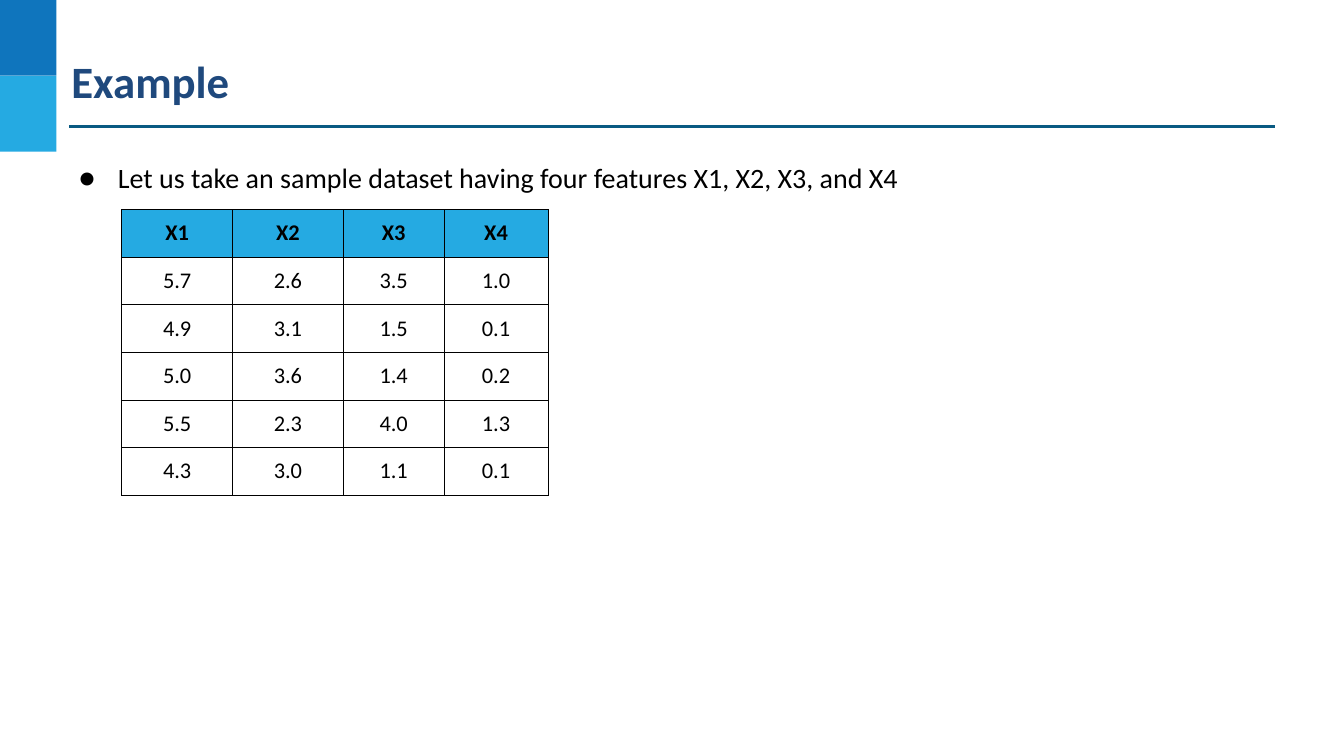
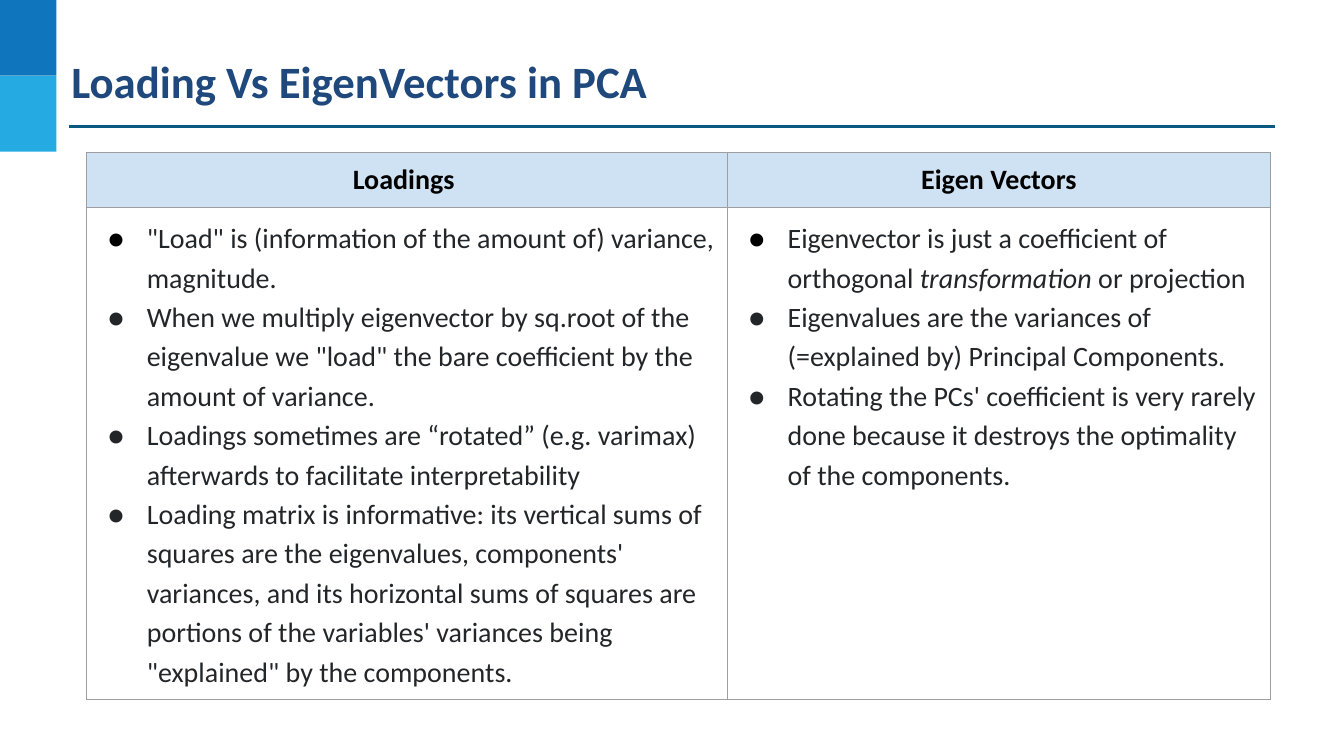
from lxml import etree
from pptx import Presentation
from pptx.dml.color import RGBColor
from pptx.enum import shapes, text
from pptx.oxml.ns import qn
from pptx.util import Cm, Pt

COLORS = {
    "black": "000000",
    "body": "232629",
    "title": "1F497D",
    "rule": "095A82",
    "dark_band": "0F75BD",
    "light_band": "25AAE2",
    "pale_header": "CFE2F3",
    "grey_border": "9E9E9E",
}
FONT = "Calibri"
CENTER = text.PP_ALIGN.CENTER
PADDING = Cm(0.25)


def write(frame, lines, size, color="black", bold=False, align=None, bullet_spacing=None):
    """Write lines of runs, every second run in italics; spacing turns bullets on."""
    for row, line in enumerate(lines):
        para = frame.paragraphs[0] if row == 0 else frame.add_paragraph()
        if align is not None:
            para.alignment = align
        if bullet_spacing:
            para.line_spacing = bullet_spacing
            properties = para._p.get_or_add_pPr()
            properties.set("marL", str(Cm(1.27)))
            properties.set("indent", str(-Cm(0.99)))
            bullet_color = etree.SubElement(properties, qn("a:buClr"))
            bullet_hex = COLORS["black" if row == 0 else color]
            etree.SubElement(bullet_color, qn("a:srgbClr"), val=bullet_hex)
            etree.SubElement(properties, qn("a:buFont"), typeface=FONT)
            etree.SubElement(properties, qn("a:buChar"), char="●")
        for position, words in enumerate(line):
            span = para.add_run()
            span.text = words
            span.font.name = FONT
            span.font.size = Pt(size)
            span.font.bold = bold
            span.font.italic = position % 2 == 1
            span.font.color.rgb = RGBColor.from_string(COLORS[color])


def add_grid(page, left, top, widths, heights, header_color, border_color):
    """Add a bordered table with a filled header row."""
    table = page.shapes.add_table(
        len(heights), len(widths), Cm(left), Cm(top), Cm(sum(widths)), Cm(sum(heights))
    ).table
    table.horz_banding = False
    for column, width in zip(table.columns, widths):
        column.width = Cm(width)
    for row, height in zip(table.rows, heights):
        row.height = Cm(height)
    for index, cell in enumerate(table.iter_cells()):
        cell.margin_left = cell.margin_right = PADDING
        cell.margin_top = cell.margin_bottom = PADDING
        properties = cell._tc.get_or_add_tcPr()
        for side in ("a:lnL", "a:lnR", "a:lnT", "a:lnB"):
            border = etree.SubElement(properties, qn(side), w=str(Pt(0.75)))
            fill = etree.SubElement(border, qn("a:solidFill"))
            etree.SubElement(fill, qn("a:srgbClr"), val=COLORS[border_color])
        if index < len(widths):
            cell.fill.solid()
            cell.fill.fore_color.rgb = RGBColor.from_string(COLORS[header_color])
        else:
            cell.fill.background()
    return table


deck = Presentation()
deck.slide_width, deck.slide_height = Cm(33.87), Cm(19.05)
layout = deck.slide_layouts[5]

# Pages and their titles
pages = []
for heading in ("Example", "Loading Vs EigenVectors in PCA"):
    page = deck.slides.add_slide(layout)
    title = page.shapes.title
    title.left, title.top, title.width, title.height = Cm(1.75), Cm(1.3), Cm(31.22), Cm(2.1)
    frame = title.text_frame
    frame.margin_left = frame.margin_right = frame.margin_top = frame.margin_bottom = Cm(0.05)
    frame.vertical_anchor = text.MSO_ANCHOR.TOP
    frame.auto_size = text.MSO_AUTO_SIZE.NONE
    write(frame, [[heading]], 32, "title", bold=True, align=text.PP_ALIGN.LEFT)
    pages.append(page)
example, comparison = pages

# Side bands and title rule, drawn once and moved to the shared layout
decorations = []
for index, color in enumerate(("dark_band", "light_band")):
    band = example.shapes.add_shape(
        shapes.MSO_SHAPE.RECTANGLE, 0, Cm(1.91 * index), Cm(1.42), Cm(1.91)
    )
    band.shadow.inherit = False
    band.fill.solid()
    band.fill.fore_color.rgb = RGBColor.from_string(COLORS[color])
    band.line.fill.background()
    decorations.append(band)
rule = example.shapes.add_connector(
    shapes.MSO_CONNECTOR.STRAIGHT, Cm(1.74), Cm(3.18), Cm(32.13), Cm(3.18)
)
rule.line.color.rgb = RGBColor.from_string(COLORS["rule"])
rule.line.width = Pt(2.25)
etree.SubElement(rule.element.spPr, qn("a:effectLst"))
decorations.append(rule)
for number, decoration in enumerate(decorations, start=101):
    decoration.element.xpath(".//p:cNvPr")[0].set("id", str(number))
    layout.shapes.element.append(decoration.element)

# Example: sample data table
samples = [
    ("X1", "X2", "X3", "X4"),
    ("5.7", "2.6", "3.5", "1.0"),
    ("4.9", "3.1", "1.5", "0.1"),
    ("5.0", "3.6", "1.4", "0.2"),
    ("5.5", "2.3", "4.0", "1.3"),
    ("4.3", "3.0", "1.1", "0.1"),
]
table = add_grid(
    example, 3.07, 5.28, [2.79, 2.79, 2.54, 2.62], [1.2] * len(samples), "light_band", "black"
)
for row, values in enumerate(samples):
    for column, value in enumerate(values):
        write(table.cell(row, column).text_frame, [[value]], 16, bold=row == 0, align=CENTER)

# Example: introduction
box = example.shapes.add_textbox(Cm(1.45), Cm(3.38), Cm(29.97), Cm(1.8))
frame = box.text_frame
frame.word_wrap = True
frame.auto_size = text.MSO_AUTO_SIZE.SHAPE_TO_FIT_TEXT
frame.margin_left = frame.margin_right = frame.margin_top = frame.margin_bottom = PADDING
introduction = "Let us take an sample dataset having four features X1, X2, X3, and X4"
write(frame, [[introduction]], 20, bullet_spacing=1.5)

# Comparison: loadings against eigenvectors
topics = {
    "Loadings ": [
        ['"Load" is (information of the amount of) variance, magnitude.'],
        ['When we multiply eigenvector by sq.root of the eigenvalue we "load" '
         "the bare coefficient by the amount of variance."],
        ["Loadings sometimes are “rotated” (e.g. varimax) afterwards "
         "to facilitate interpretability"],
        ["Loading matrix is informative: its vertical sums of squares are the eigenvalues, "
         "components' variances, and its horizontal sums of squares are portions of "
         "the variables' variances being \"explained\" by the components."],
    ],
    "Eigen Vectors": [
        ["Eigenvector is just a coefficient of orthogonal ", "transformation", " or projection"],
        ["Eigenvalues are the variances of (=explained by) Principal Components."],
        ["Rotating the PCs' coefficient is very rarely done because it destroys "
         "the optimality of the components."],
    ],
}
table = add_grid(
    comparison, 2.18, 3.85, [16.15, 13.69], [1.36, 12.4], "pale_header", "grey_border"
)
for column, (heading, points) in enumerate(topics.items()):
    write(table.cell(0, column).text_frame, [[heading]], 20, bold=True, align=CENTER)
    write(table.cell(1, column).text_frame, points, 20, "body", bullet_spacing=1.15)

deck.save("out.pptx")
